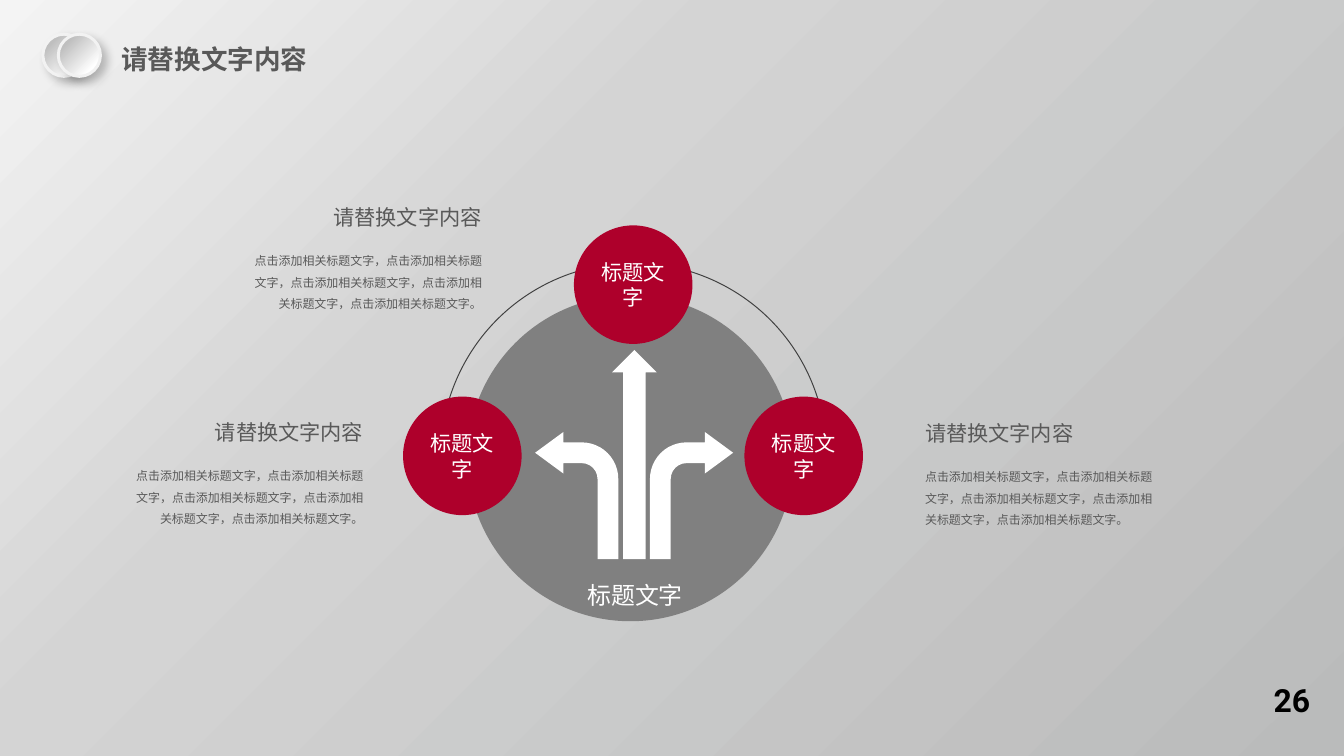
from copy import deepcopy

from lxml.etree import SubElement
from pptx import Presentation
from pptx.dml.color import RGBColor
from pptx.enum.shapes import MSO_SHAPE as Kind
from pptx.enum.text import MSO_ANCHOR as Anchor, MSO_AUTO_SIZE as Fit, PP_ALIGN as Align
from pptx.oxml.ns import qn
from pptx.util import Cm, Pt

RED = RGBColor(0xAE, 0x00, 0x2B)
GRAY = RGBColor(0x80, 0x80, 0x80)
DARK = RGBColor(0x40, 0x40, 0x40)
TEXT = RGBColor(0x59, 0x59, 0x59)
WHITE = RGBColor(0xFF, 0xFF, 0xFF)
BLACK = RGBColor(0x00, 0x00, 0x00)
RIM = RGBColor(0xF2, 0xF2, 0xF2)
SILVER = RGBColor(0xBF, 0xBF, 0xBF)
PALE = RGBColor(0xF4, 0xF4, 0xF4)
LIGHT = RGBColor(0xD4, 0xD4, 0xD4)
ASH = RGBColor(0xBA, 0xBB, 0xBB)

HEAD = "请替换文字内容"
LABEL = "标题文字"
BODY = "，".join(["点击添加相关标题文字"] * 5) + "。"


def blend(fill, stops):
    """Fill with a diagonal gradient of (position, colour) stops."""
    fill.gradient()
    fill.gradient_angle = 315
    last = fill.gradient_stops[-1]._gs
    for _ in stops[2:]:
        last.addnext(deepcopy(last))
    for stop, (pos, color) in zip(fill.gradient_stops, stops):
        stop.position = pos
        stop.color.rgb = color


def write(frame, text, size, color, font="Arial", bold=False, align=Align.LEFT, gap=1.0):
    """Write one formatted run into a text frame."""
    para = frame.paragraphs[0]
    para.alignment = align
    para.line_spacing = gap
    run = para.add_run()
    run.text = text
    run.font.size = Pt(size)
    run.font.name = font
    run.font.bold = bold
    run.font.color.rgb = color


def shape(slide, kind, box, color=None):
    """Add a flat shape without line in a box given in centimetres."""
    item = slide.shapes.add_shape(kind, *map(Cm, box))
    item.shadow.inherit = False
    item.line.fill.background()
    if color is None:
        item.fill.background()
    else:
        item.fill.solid()
        item.fill.fore_color.rgb = color
    return item


def label(slide, box, text, size, color, anchor=Anchor.TOP, **style):
    """Add a wrapping text box in a box given in centimetres."""
    frame = slide.shapes.add_textbox(*map(Cm, box)).text_frame
    frame.word_wrap = True
    frame.vertical_anchor = anchor
    write(frame, text, size, color, **style)


def disc(slide, x, y):
    """Draw one raised disc with a soft shadow."""
    item = shape(slide, Kind.OVAL, (x, y, 1.12, 1.12))
    blend(item.fill, [(0.2, SILVER), (0.8, WHITE)])
    item.line.color.rgb = RIM
    item.line.width = Pt(2.25)
    effects = item._element.spPr.find(qn("a:effectLst"))
    shade = SubElement(effects, qn("a:outerShdw"), blurRad=str(Pt(7)),
                       dist=str(Pt(5.9)), dir="2700000", algn="tl", rotWithShape="0")
    color = SubElement(shade, qn("a:srgbClr"), val=str(BLACK))
    SubElement(color, qn("a:alpha"), val="23000")


def header(slide, x, y):
    """Place the slide title and its pair of discs."""
    title = slide.shapes.title
    title.left, title.top, title.width, title.height = map(Cm, (x + 1.83, y + 0.11, 5.51, 1.12))
    frame = title.text_frame
    frame.auto_size = Fit.NONE
    frame.word_wrap = False
    frame.vertical_anchor = Anchor.TOP
    write(frame, HEAD, 20, TEXT, font="Calibri", bold=True)
    for step in (0, 0.41):
        disc(slide, x + step, y)


def node(slide, x, y):
    """Draw one red circle with its label."""
    frame = shape(slide, Kind.OVAL, (x, y, 3.15, 3.15), RED).text_frame
    frame.margin_left = frame.margin_right = frame.margin_top = frame.margin_bottom = 0
    frame.word_wrap = True
    frame.vertical_anchor = Anchor.MIDDLE
    write(frame, LABEL, 16, WHITE, align=Align.CENTER)


def turn(slide, x, y, flip):
    """Draw one bent arrow, mirrored when flip is set."""
    item = shape(slide, Kind.BENT_ARROW, (x, y, 2.21, 3.38), WHITE)
    for i, value in enumerate((0.25, 0.25, 0.34, 0.44)):
        item.adjustments[i] = value
    if flip:
        item._element.spPr.xfrm.set("flipH", "1")


def hub(slide, x, y):
    """Draw the central circle with its arc, arrows and nodes."""
    arc = shape(slide, Kind.ARC, (x + 1, y + 1, 10.25, 10.25))
    arc.adjustments[0], arc.adjustments[1] = 108, 0
    arc.line.color.rgb = DARK
    arc.line.width = Pt(0.75)
    shape(slide, Kind.OVAL, (x + 1.71, y + 1.86, 8.66, 8.66), GRAY)
    shape(slide, Kind.UP_ARROW, (x + 5.55, y + 3.31, 1.19, 5.56), WHITE)
    turn(slide, x + 6.56, y + 5.49, False)
    turn(slide, x + 3.51, y + 5.49, True)
    label(slide, (x + 4.07, y + 9.07, 4.19, 1.45), LABEL, 18, WHITE,
          anchor=Anchor.MIDDLE, align=Align.CENTER, gap=1.1)
    for dx, dy in ((0, 4.55), (9.07, 4.55), (4.54, 0)):
        node(slide, x + dx, y + dy)


def note(slide, x, y, align):
    """Place a heading with its paragraph below."""
    label(slide, (x, y, 6.55, 0.94), HEAD, 16, TEXT, font="Calibri", align=align)
    label(slide, (x, y + 1.12, 6.55, 1.98), BODY, 9, TEXT, align=align, gap=1.5)


def main():
    """Build and save the slide."""
    deck = Presentation()
    deck.slide_width, deck.slide_height = Cm(35.71), Cm(20.09)
    slide = deck.slides.add_slide(deck.slide_layouts[5])
    blend(slide.background.fill, [(0, PALE), (0.35, LIGHT), (1, ASH)])
    header(slide, 1.14, 0.91)
    hub(slide, 10.71, 5.99)
    note(slide, 24.33, 11.05, Align.LEFT)
    note(slide, 6.5, 5.31, Align.RIGHT)
    note(slide, 3.35, 11.02, Align.RIGHT)
    label(slide, (33.58, 17.96, 1.5, 1.27), "26", 24, BLACK,
          font="Roboto", bold=True, align=Align.CENTER)
    deck.save("out.pptx")


if __name__ == "__main__":
    main()
